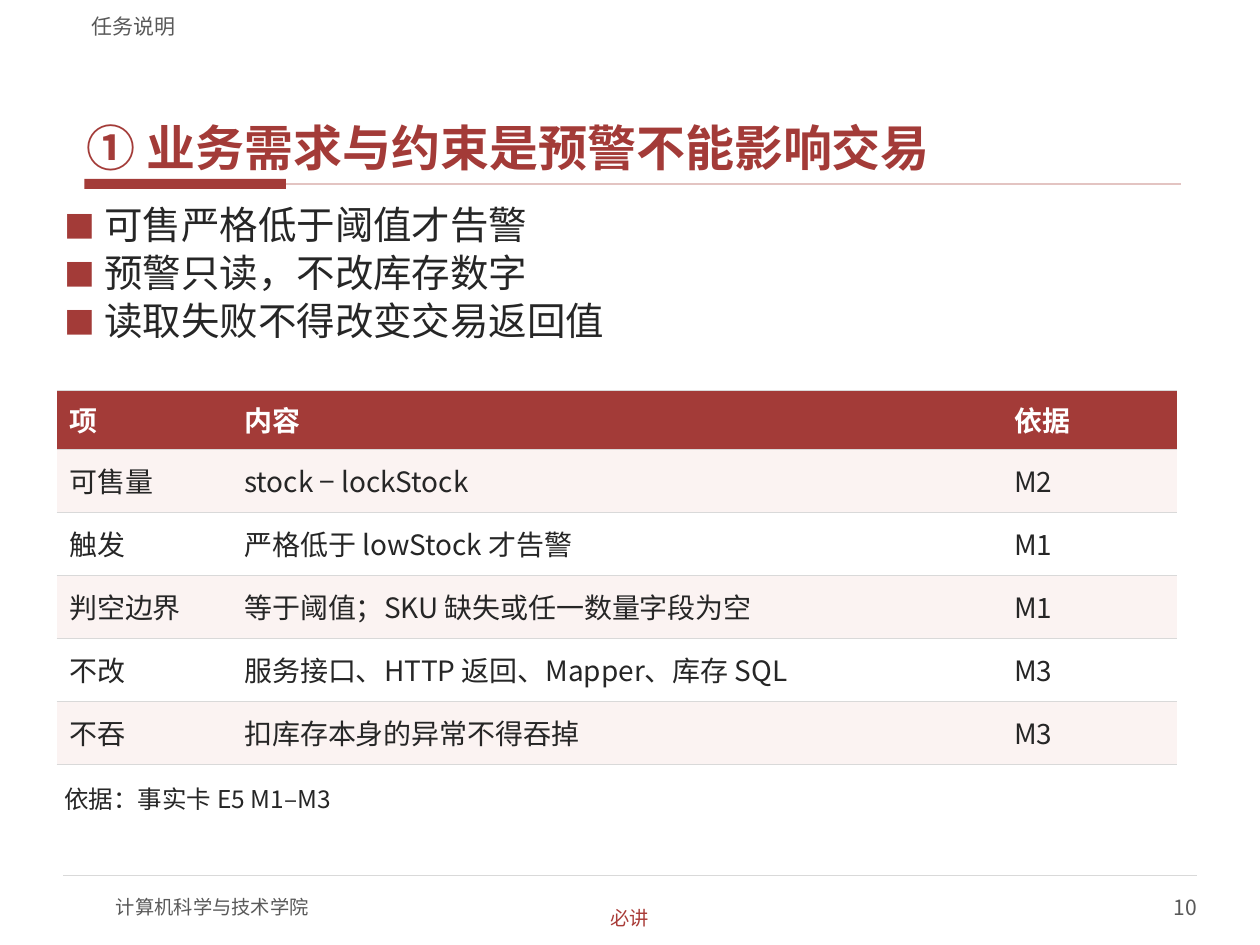
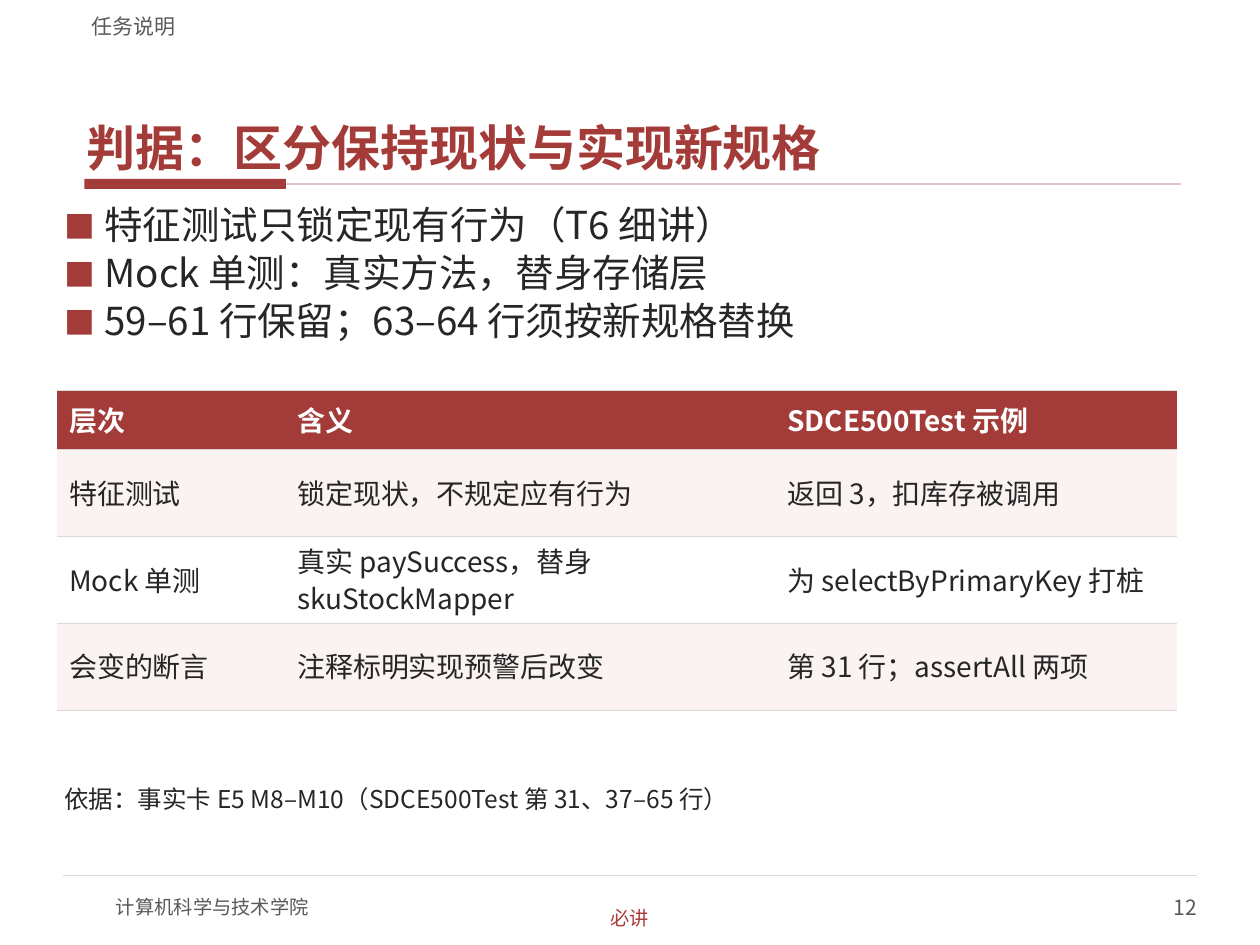
from lxml.etree import SubElement
from pptx import Presentation
from pptx.dml.color import RGBColor
from pptx.enum.shapes import MSO_CONNECTOR, MSO_SHAPE
from pptx.enum.text import MSO_ANCHOR as ANCHOR, MSO_AUTO_SIZE as AUTO, PP_ALIGN as ALIGN
from pptx.oxml import parse_xml
from pptx.oxml.ns import nsdecls, qn
from pptx.util import Pt

PX = 9144
FONT = "Noto Sans CJK SC"
COLORS = {
    "accent": "A33B38", "rule": "E3C4C2", "line": "D9D9D9", "text": "262626",
    "muted": "595959", "tag": "A93B37", "band": "FBF3F2", "white": "FFFFFF",
}
RGB = {name: RGBColor.from_string(value) for name, value in COLORS.items()}

SLIDES = [
    {
        "number": "10",
        "title": "① 业务需求与约束是预警不能影响交易",
        "bullets": ["可售严格低于阈值才告警", "预警只读，不改库存数字", "读取失败不得改变交易返回值"],
        "widths": [139, 611, 139],
        "row_height": 50,
        "rows": [
            ["项", "内容", "依据"],
            ["可售量", "stock − lockStock", "M2"],
            ["触发", "严格低于 lowStock 才告警", "M1"],
            ["判空边界", "等于阈值；SKU 缺失或任一数量字段为空", "M1"],
            ["不改", "服务接口、HTTP 返回、Mapper、库存 SQL", "M3"],
            ["不吞", "扣库存本身的异常不得吞掉", "M3"],
        ],
        "source": "依据：事实卡 E5 M1–M3",
    },
    {
        "number": "12",
        "title": "判据：区分保持现状与实现新规格",
        "bullets": ["特征测试只锁定现有行为（T6 细讲）", "Mock 单测：真实方法，替身存储层",
                    "59–61 行保留；63–64 行须按新规格替换"],
        "widths": [181, 389, 319],
        "row_height": 69,
        "rows": [
            ["层次", "含义", "SDCE500Test 示例"],
            ["特征测试", "锁定现状，不规定应有行为", "返回 3，扣库存被调用"],
            ["Mock 单测", "真实 paySuccess，替身 skuStockMapper", "为 selectByPrimaryKey 打桩"],
            ["会变的断言", "注释标明实现预警后改变", "第 31 行；assertAll 两项"],
        ],
        "source": "依据：事实卡 E5 M8–M10（SDCE500Test 第 31、37–65 行）",
    },
]


def write(p, text, size, color, bold=False, **fmt):
    for name, value in {"space_before": Pt(0), "space_after": Pt(0), **fmt}.items():
        setattr(p, name, value)
    r = p.add_run()
    r.text = text
    for name, value in {"name": FONT, "size": Pt(size), "bold": bold}.items():
        setattr(r.font, name, value)
    r.font.color.rgb = RGB[color]
    SubElement(r._r.get_or_add_rPr(), qn("a:ea"), typeface=FONT)


def frame(sp, at, side, edge, anchor, wrap=True):
    for name, value in zip(("left", "top", "width", "height"), at):
        setattr(sp, name, value * PX)
    tf = sp.text_frame
    settings = {
        "auto_size": AUTO.NONE, "word_wrap": wrap, "vertical_anchor": anchor,
        "margin_left": side * PX, "margin_right": side * PX,
        "margin_top": edge * PX, "margin_bottom": edge * PX,
    }
    for name, value in settings.items():
        setattr(tf, name, value)
    return tf


prs = Presentation()
prs.slide_width, prs.slide_height = 1000 * PX, 750 * PX

for data in SLIDES:
    s = prs.slides.add_slide(prs.slide_layouts[1])
    title, body = s.shapes.title, s.placeholders[1]

    bar = s.shapes.add_shape(MSO_SHAPE.RECTANGLE, 67 * PX, 142 * PX, 160 * PX, 8 * PX)
    bar.shadow.inherit = False
    bar.fill.solid()
    bar.fill.fore_color.rgb = RGB["accent"]
    bar.line.fill.background()

    for x1, x2, y, color, weight, start in [
        (227, 937, 146, "rule", 1, bar),
        (50, 950, 695, "line", 0.75, None),
    ]:
        rule = s.shapes.add_connector(MSO_CONNECTOR.STRAIGHT, x1 * PX, y * PX, x2 * PX, y * PX)
        rule.line.color.rgb = RGB[color]
        rule.line.width = Pt(weight)
        SubElement(rule._element.spPr, qn("a:effectLst"))
        if start is not None:
            rule.begin_connect(start, 3)

    tf = frame(title, (63, 37, 875, 105), 6, 2, ANCHOR.BOTTOM)
    write(tf.paragraphs[0], data["title"], 28, "accent", True, alignment=ALIGN.LEFT)

    tf = frame(body, (45, 162, 910, 137), 6, 2, ANCHOR.TOP)
    for i, text in enumerate(data["bullets"]):
        p = tf.paragraphs[0] if i == 0 else tf.add_paragraph()
        pPr = p._p.get_or_add_pPr()
        pPr.set("marL", str(32 * PX))
        pPr.set("indent", str(-32 * PX))
        color = SubElement(pPr, qn("a:buClr"))
        SubElement(color, qn("a:srgbClr"), val=COLORS["accent"])
        SubElement(pPr, qn("a:buSzPct"), val="80000")
        SubElement(pPr, qn("a:buFont"), typeface=FONT)
        SubElement(pPr, qn("a:buChar"), char="■")
        write(p, text, 22, "text", line_spacing=0.9,
              space_before=Pt(1.6 if i else 0), space_after=Pt(2))

    rows, widths = data["rows"], data["widths"]
    heights = [47] + [data["row_height"]] * (len(rows) - 1)
    table = s.shapes.add_table(len(rows), len(widths), 45 * PX, 310 * PX,
                               sum(widths) * PX, sum(heights) * PX).table
    table.horz_banding = False
    for column, width in zip(table.columns, widths):
        column.width = width * PX
    for i, (row, height, texts) in enumerate(zip(table.rows, heights, rows)):
        row.height = height * PX
        fill = "accent" if i == 0 else "band" if i % 2 else "white"
        for cell, text in zip(row.cells, texts):
            cell.vertical_anchor = ANCHOR.MIDDLE
            cell.fill.solid()
            cell.fill.fore_color.rgb = RGB[fill]
            write(cell.text_frame.paragraphs[0], text, 16, "text" if i else "white",
                  i == 0, line_spacing=0.9)
            tcPr = cell._tc.get_or_add_tcPr()
            for k, side in enumerate("LRTB"):
                paint = "<a:noFill/>"
                if side in "TB":
                    paint = f'<a:solidFill><a:srgbClr val="{COLORS["line"]}"/></a:solidFill>'
                tcPr.insert(k, parse_xml(
                    f'<a:ln{side} {nsdecls("a")} w="{Pt(0.75)}">{paint}</a:ln{side}>'))

    for text, at, side, edge, anchor, wrap, size, color, fmt in [
        (data["source"], (45, 623, 910, 50), 6, 2, ANCHOR.TOP, True, 14, "text", {"line_spacing": 0.9}),
        ("任务说明", (63, 4, 875, 27), 10, 0, ANCHOR.BOTTOM, True, 12, "muted", {}),
        ("计算机科学与技术学院", (92, 700, 400, 40), 0, 0, ANCHOR.MIDDLE, True, 11, "muted", {}),
        (data["number"], (750, 700, 200, 40), 0, 0, ANCHOR.MIDDLE, True, 12, "muted",
         {"alignment": ALIGN.RIGHT}),
        ("必讲", (440, 718, 120, 21), 0, 0, ANCHOR.MIDDLE, False, 11, "tag",
         {"alignment": ALIGN.CENTER}),
    ]:
        tf = frame(s.shapes.add_textbox(0, 0, 0, 0), at, side, edge, anchor, wrap)
        write(tf.paragraphs[0], text, size, color, **fmt)

prs.save("out.pptx")
